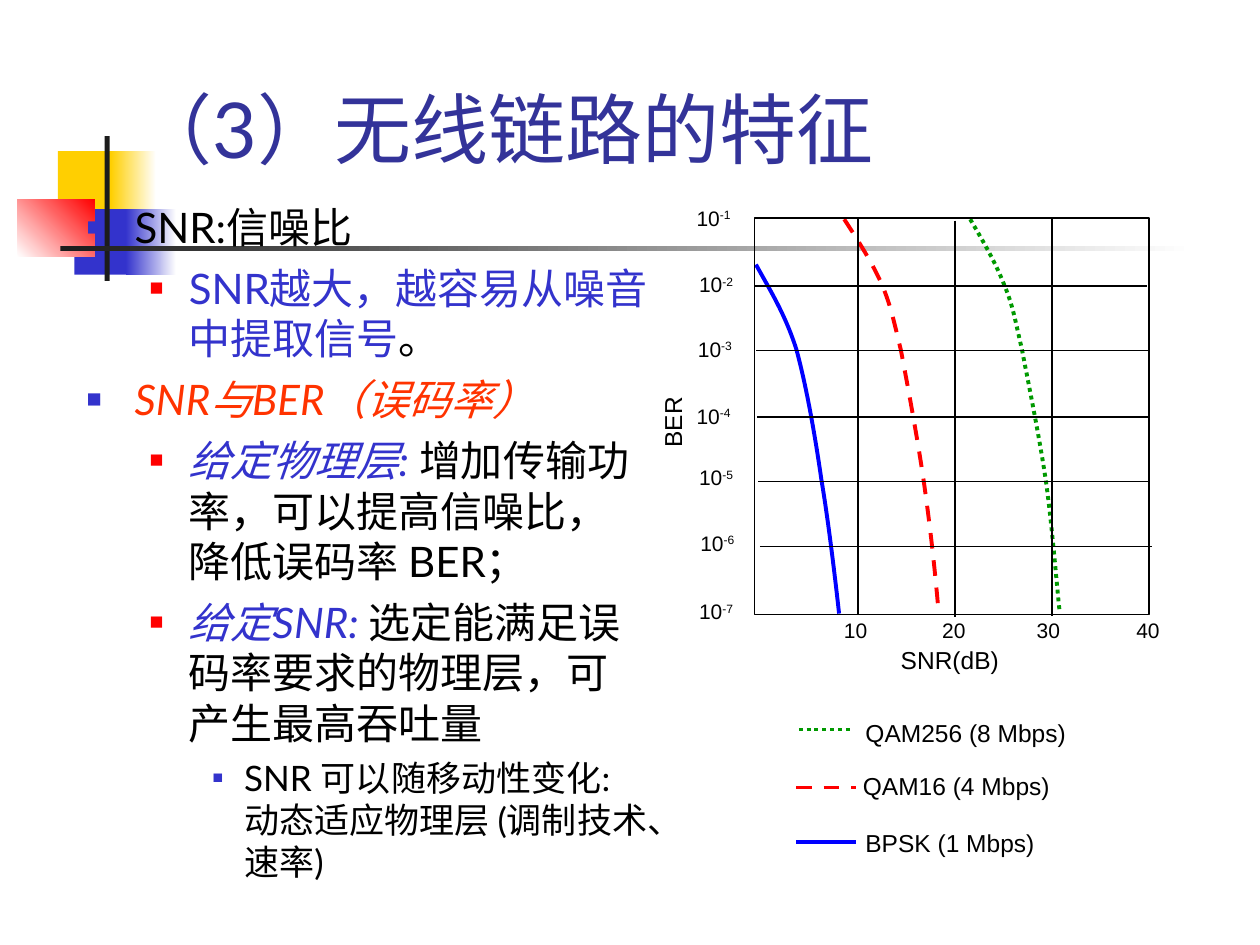
from lxml.etree import SubElement
from pptx import Presentation
from pptx.dml.color import RGBColor
from pptx.enum.dml import MSO_LINE
from pptx.enum.shapes import MSO_CONNECTOR, MSO_SHAPE
from pptx.enum.text import MSO_ANCHOR
from pptx.oxml.ns import qn
from pptx.util import Pt

PX = 9144  # EMU per px, 100 px to the inch
BLACK, DARK, WHITE = "000000", "1C1C1C", "FFFFFF"
YELLOW, INDIGO, RED, ORANGE = "FFCF01", "3333CC", "FF0000", "FF3300"
BLUE, GREEN, NAVY = "0000FF", "009900", "333399"


def emu(*lengths):
    return [v * PX for v in lengths]


def rgb(color):
    return RGBColor.from_string(color)


class Canvas:
    text_font, label_font = "Lato", "Arial"
    # per level: left margin, hanging indent, space before, bullet colour, bullet %, size
    levels = ((38, 38, 6, INDIGO, 60, 24), (81, 31, 6, RED, 55, 24), (125, 25, 5, INDIGO, 50, 20))

    def __init__(self, slide):
        self.slide = slide

    def rect(self, box, fill=None, fade=None, angle=0, line=None):
        s = self.slide.shapes.add_shape(MSO_SHAPE.RECTANGLE, *emu(*box))
        s.shadow.inherit = False
        if fade:
            s.fill.gradient()
            s.fill.gradient_angle = angle
            for stop, color, pos in zip(s.fill.gradient_stops, (fill, fade), (0, 1)):
                stop.color.rgb = rgb(color)
                stop.position = pos
        elif fill:
            s.fill.solid()
            s.fill.fore_color.rgb = rgb(fill)
        else:
            s.fill.background()
        if line:
            self.stroke(s, line, 0.75)
        else:
            s.line.fill.background()

    def stroke(self, s, color, width, dash=None):
        s.line.color.rgb = rgb(color)
        s.line.width = Pt(width)
        if dash:
            s.line.dash_style = dash

    def line(self, x1, y1, x2, y2, color=BLACK, width=0.75, dash=None):
        s = self.slide.shapes.add_connector(MSO_CONNECTOR.STRAIGHT, *emu(x1, y1, x2, y2))
        SubElement(s._element.spPr, qn("a:effectLst"))
        self.stroke(s, color, width, dash)

    def curve(self, points, color, dash=None):
        """Chain of cubic curves: a start, then three points a curve."""
        start, *rest = [emu(*p) for p in points]
        builder = self.slide.shapes.build_freeform(*start)
        builder.add_line_segments(rest, close=False)
        s = builder.convert_to_shape()
        segments = list(s._element.iter(qn("a:lnTo")))
        outline = segments[0].getparent()
        for i in range(0, len(segments), 3):
            cubic = SubElement(outline, qn("a:cubicBezTo"))
            for segment in segments[i:i + 3]:
                cubic.append(segment[0])
                outline.remove(segment)
        s.shadow.inherit = False
        s.fill.background()
        self.stroke(s, color, 2.25, dash)

    def run(self, p, text, size, font, color=BLACK, italic=False):
        r = p.add_run()
        r.text = text
        r.font.size, r.font.name, r.font.italic = Pt(size), font, italic
        r.font.color.rgb = rgb(color)
        return r

    def label(self, box, text, size, power=None, rotation=0):
        s = self.slide.shapes.add_textbox(*emu(*box))
        s.rotation = rotation
        tf = s.text_frame
        tf.word_wrap = False
        p = tf.paragraphs[0]
        self.run(p, text, size, self.label_font)
        if power:
            r = self.run(p, power, size, self.label_font)
            r.font._element.set("baseline", "30000")

    def title(self, box, text):
        tf = self.slide.shapes.add_textbox(*emu(*box)).text_frame
        tf.word_wrap = True
        tf.vertical_anchor = MSO_ANCHOR.BOTTOM
        self.run(tf.paragraphs[0], text, 44, self.text_font, NAVY)

    def outline(self, box, items):
        """Bulleted text; an item is a level and its (text, colour, italic) runs."""
        tf = self.slide.shapes.add_textbox(*emu(*box)).text_frame
        tf.word_wrap = True
        for i, (level, runs) in enumerate(items):
            p = tf.add_paragraph() if i else tf.paragraphs[0]
            margin, hang, before, color, percent, size = self.levels[level]
            p.level = level
            p.space_before = Pt(before)
            self.bullet(p, margin, hang, color, percent)
            for text, text_color, italic in runs:
                self.run(p, text, size, self.text_font, text_color, italic)

    def bullet(self, p, margin, hang, color, percent):
        pPr = p._p.get_or_add_pPr()
        pPr.set("marL", str(margin * PX))
        pPr.set("indent", str(-hang * PX))
        SubElement(SubElement(pPr, qn("a:buClr")), qn("a:srgbClr"), val=color)
        SubElement(pPr, qn("a:buSzPct"), val=str(percent * 1000))
        SubElement(pPr, qn("a:buFont"), typeface=self.label_font)
        SubElement(pPr, qn("a:buChar"), char="■")


def draw_ornament(c):
    c.rect((46, 120, 48, 52), YELLOW)
    c.rect((88, 120, 36, 52), YELLOW, WHITE)
    c.rect((59, 166, 46, 52), INDIGO)
    c.rect((100, 166, 40, 52), INDIGO, WHITE)
    c.rect((14, 158, 61, 46), WHITE, RED, angle=45)
    c.rect((83, 108, 4, 115), DARK)
    c.rect((48, 195, 900, 4), DARK, WHITE)


def draw_plot(c):
    c.curve([(600, 210), (611, 230), (623, 249), (632, 277), (640, 306), (647, 346),
             (652, 381), (658, 416), (664, 469), (666, 487)], BLUE)
    c.curve([(670, 174), (681, 191), (692, 208), (700, 226), (707, 243), (709, 253),
             (715, 278), (720, 304), (728, 347), (733, 381), (738, 416), (742, 451),
             (745, 487)], RED, MSO_LINE.DASH)
    c.curve([(770, 174), (780, 191), (790, 208), (797, 226), (804, 243), (805, 251),
             (811, 277), (816, 303), (825, 347), (830, 381), (835, 416), (839, 468),
             (841, 485)], GREEN, MSO_LINE.ROUND_DOT)
    c.rect((599, 173, 313, 315), line=BLACK)
    for i, y in enumerate((227, 278, 331, 382, 434)):
        c.line(599 + i, y, 910 + i, y)
    for x, top in ((681, 173), (758, 175), (835, 174)):
        c.line(x, top, x, top + 315)
    for x, text in zip((660, 738, 813, 892), ("10", "20", "30", "40")):
        c.label((x, 485, 40, 30), text, 12)
    for i, (x, y) in enumerate(zip((543, 545, 544, 543, 545, 546, 545),
                                   (158, 211, 262, 315, 364, 416, 470)), 1):
        c.label((x, y, 48, 30), "10", 12, power=f"-{i}")
    c.label((705, 507, 99, 34), "SNR(dB)", 14)
    c.label((504, 318, 60, 34), "BER", 14, rotation=270)


def draw_legend(c):
    for text, y, color, dash, left, right, x, top, width in (
            ("QAM256 (8 Mbps)", 579, GREEN, MSO_LINE.ROUND_DOT, 634, 677, 677, 565, 181),
            ("QAM16 (4 Mbps)", 625, RED, MSO_LINE.DASH, 632, 679, 675, 607, 170),
            ("BPSK (1 Mbps)", 668, BLUE, None, 632, 679, 677, 652, 156)):
        c.line(left, y, right, y, color, 2.25, dash)
        c.label((x, top, width, 34), text, 14)


def main():
    prs = Presentation()
    prs.slide_width, prs.slide_height = emu(1000, 750)
    c = Canvas(prs.slides.add_slide(prs.slide_layouts[6]))
    draw_ornament(c)
    c.outline((59, 155, 467, 568), [
        (0, [("SNR:信噪比", BLACK, False)]),
        (1, [("SNR越大，越容易从噪音中提取信号", INDIGO, False), ("。", BLACK, False)]),
        (0, [("SNR与BER（误码率）", ORANGE, True)]),
        (1, [("给定物理层: ", INDIGO, True),
             ("增加传输功率，可以提高信噪比，降低误码率 BER；", BLACK, False)]),
        (1, [("给定SNR: ", INDIGO, True),
             ("选定能满足误码率要求的物理层，可产生最高吞吐量", BLACK, False)]),
        (2, [("SNR 可以随移动性变化: 动态适应物理层 (调制技术、速率)", BLACK, False)]),
    ])
    draw_plot(c)
    draw_legend(c)
    c.title((98, 28, 852, 115), "（3）无线链路的特征")
    prs.save("out.pptx")


if __name__ == "__main__":
    main()
